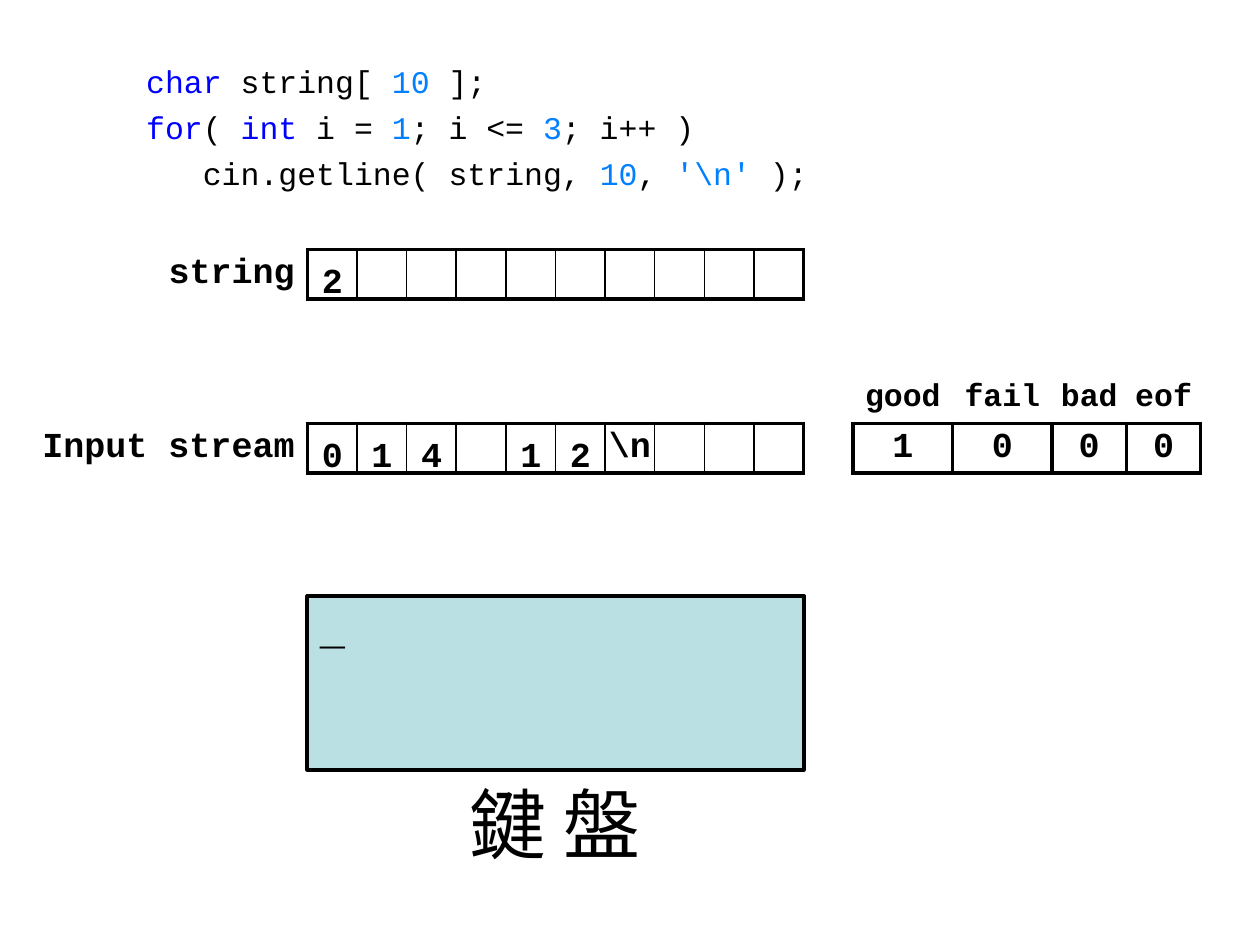
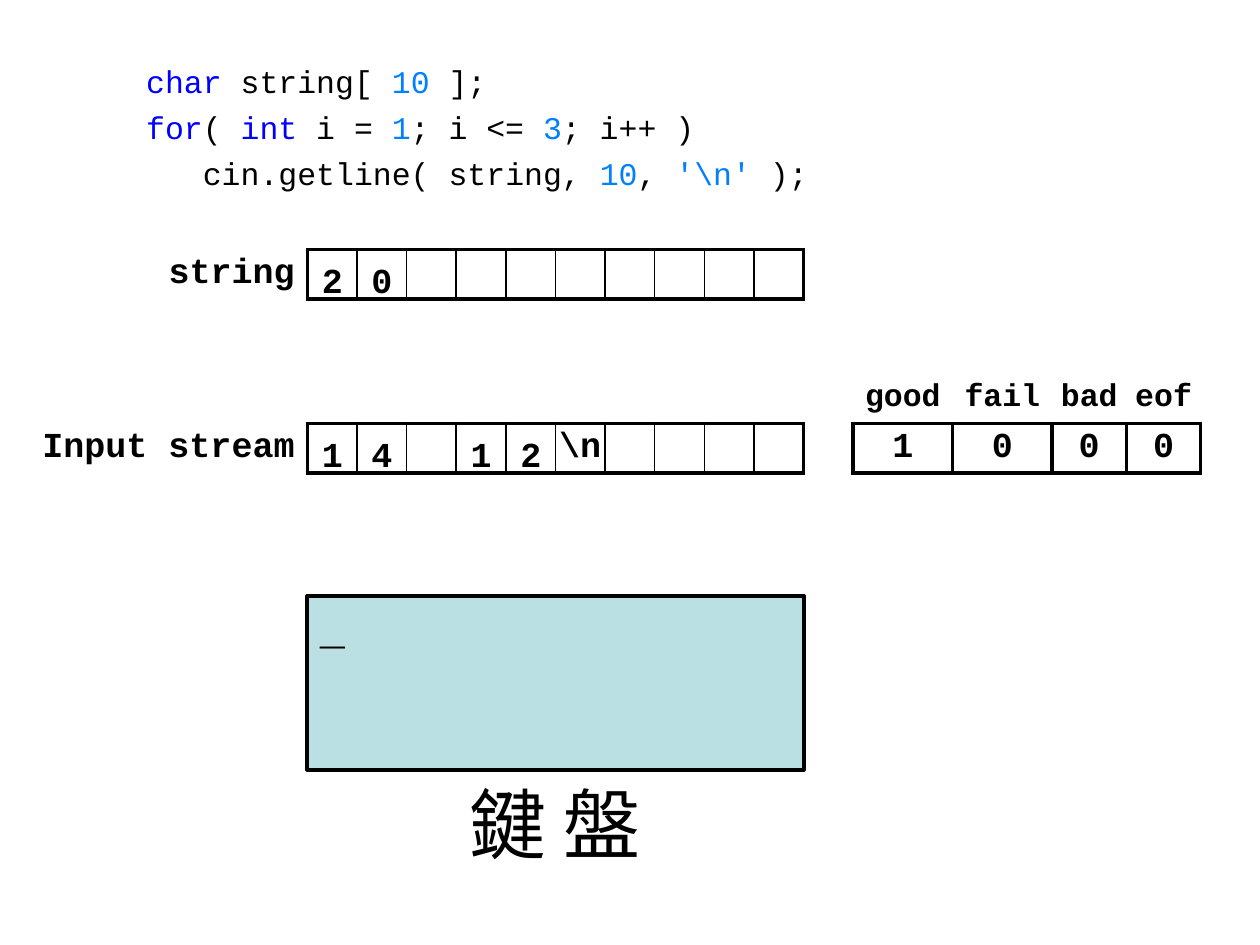
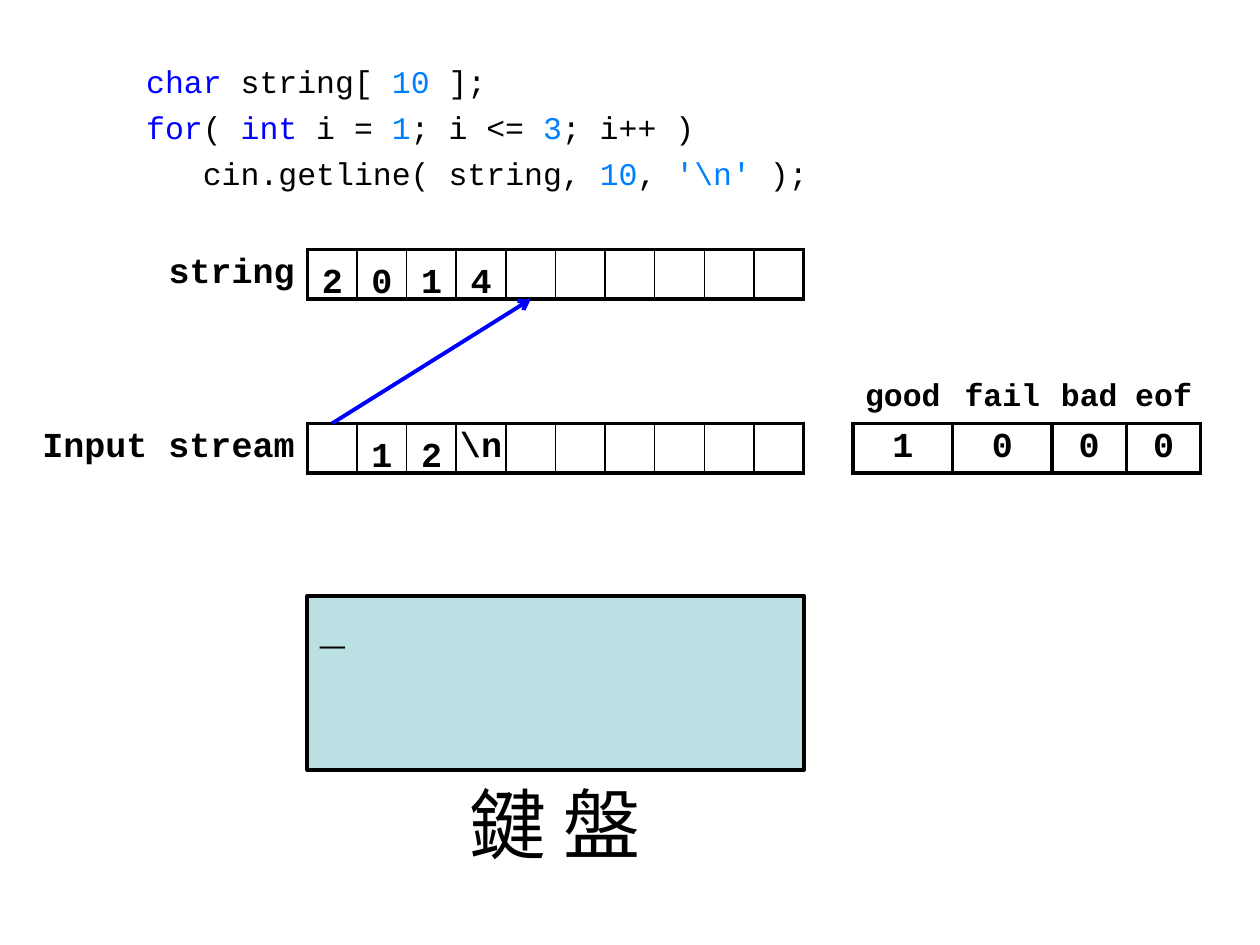
from pptx import Presentation
from pptx import util as u
from pptx.dml.color import RGBColor
from pptx.enum import shapes, text
from pptx.oxml.ns import qn
from lxml import etree

HUES = {"ink": "000000", "key": "0000FF", "num": "0080FF", "pane": "BBE0E3"}
MONO, HAN = "Courier New", "Noto Sans CJK SC"
PLAIN = "{2D5ABB26-0587-4C30-8999-92F81FD0307C}"

CODE = [
    [("char", "key"), (" string[ ", "ink"), ("10", "num"), (" ];", "ink")],
    [("for", "key"), ("( ", "ink"), ("int", "key"), (" i = ", "ink"), ("1", "num"),
     ("; i <= ", "ink"), ("3", "num"), ("; i++ )", "ink")],
    [("   cin.getline( string, ", "ink"), ("10", "num"), (", ", "ink"),
     ("'\\n'", "num"), (" );", "ink")],
]
FLAGS = [("good", "1", 0.79), ("fail", "0", 0.79), ("bad", "0", 0.59), ("eof", "0", 0.59)]
STEPS = [
    {"string": "2", "stream": "014 12", "move": None},
    {"string": "20", "stream": "14 12", "move": None},
    {"string": "2014", "stream": " 12", "move": (0, 4)},
]

SLOTS = 10
LEFT, WIDE = 2.44, 3.94
SLOT = WIDE / SLOTS
TOPS = {"string": 1.98, "stream": 3.36}
THICK, THIN = 2.25, 1
MID = text.MSO_ANCHOR.MIDDLE
ALIGN = text.PP_ALIGN


def hue(name):
    return RGBColor.from_string(HUES[name])


def assign(thing, vals):
    for key, val in vals.items():
        setattr(thing, key, val)


def pads(left=0, top=0, right=0, low=0):
    sides = zip(("left", "top", "right", "bottom"), (left, top, right, low))
    return {f"margin_{side}": u.Inches(val) for side, val in sides}


def add_run(par, words, size, color="ink", bold=True, face=MONO):
    run = par.add_run()
    run.text = words
    assign(run.font, {"size": u.Pt(size), "bold": bold, "name": face})
    run.font.color.rgb = hue(color)
    return run


def box(*dims):
    return [u.Inches(val) for val in dims]


def rule(cell, edges):
    props = cell._tc.get_or_add_tcPr()
    for side in "LRTB":
        if side in edges:
            line = etree.SubElement(props, qn(f"a:ln{side}"), w=str(u.Pt(edges[side])))
            fill = etree.SubElement(line, qn("a:solidFill"))
            etree.SubElement(fill, qn("a:srgbClr"), val=HUES["ink"])


def fill_cell(cell, words="", size=20, align=ALIGN.CENTER, edges={}, right=0):
    assign(cell, {"vertical_anchor": MID, **pads(right=right)})
    rule(cell, edges)
    cell.fill.background()
    par = cell.text_frame.paragraphs[0]
    par.alignment = align
    if words:
        add_run(par, words, size)
    else:
        par.font.size = u.Pt(size)


def add_grid(slide, left, top, cols, rows):
    frame = slide.shapes.add_table(rows, len(cols), *box(left, top, sum(cols), SLOT * rows))
    grid = frame.table
    assign(grid, {"first_row": False, "horz_banding": False})
    grid._tbl.tblPr.find(qn("a:tableStyleId")).text = PLAIN
    for col, wide in zip(grid.columns, cols):
        col.width = u.Inches(wide)
    for row in grid.rows:
        row.height = u.Inches(SLOT)
    return grid


def slot_row(grid, row, label, mark=None):
    fill_cell(grid.cell(row, 0), label, align=ALIGN.RIGHT, edges={"R": THICK}, right=0.1)
    for i in range(SLOTS):
        edges = {"T": THICK, "B": THICK, "L": THIN if i else THICK,
                 "R": THIN if i < SLOTS - 1 else THICK}
        fill_cell(grid.cell(row, i + 1), "\\n" if i == mark else "", edges=edges)


def add_stream(slide, mark):
    head = 2.17
    cols = [head] + [SLOT] * (SLOTS + 1) + [wide for _, _, wide in FLAGS]
    grid = add_grid(slide, LEFT - head, TOPS["stream"] - SLOT, cols, 2)
    slot_row(grid, 1, "Input stream", mark)
    gap = SLOTS + 1
    for i in range(gap + 1):
        fill_cell(grid.cell(0, i), edges={"B": THICK} if 0 < i < gap else {})
    fill_cell(grid.cell(1, gap), edges={"L": THICK, "R": THICK})
    for i, (name, bit, _) in enumerate(FLAGS, gap + 1):
        fill_cell(grid.cell(0, i), name, 18, edges={"B": THICK})
        fill_cell(grid.cell(1, i), bit, edges=dict.fromkeys("LRTB", THICK))


def add_string(slide):
    head = 1.18
    grid = add_grid(slide, LEFT - head, TOPS["string"], [head] + [SLOT] * SLOTS, 1)
    slot_row(grid, 0, "string")


def add_chars(slide, name, chars):
    for i, char in enumerate(chars):
        if char != " ":
            tile = slide.shapes.add_textbox(*box(LEFT + i * SLOT, TOPS[name], SLOT, SLOT))
            frame = tile.text_frame
            assign(frame, {"word_wrap": True, "vertical_anchor": MID, **pads(top=0.08)})
            par = frame.paragraphs[0]
            par.alignment = ALIGN.CENTER
            add_run(par, char, 20)


def add_code(slide):
    body = slide.placeholders[1]
    assign(body, dict(zip(("left", "top", "width", "height"), box(1.06, 0.4, 5.51, 1.18))))
    frame = body.text_frame
    assign(frame, {"word_wrap": True, "auto_size": text.MSO_AUTO_SIZE.NONE,
                   "vertical_anchor": text.MSO_ANCHOR.TOP, **pads(0.1, 0.09, 0.04, 0.05)})
    for i, parts in enumerate(CODE):
        par = frame.add_paragraph() if i else frame.paragraphs[0]
        props = par._p.get_or_add_pPr()
        for key in ("marL", "indent"):
            props.set(key, "0")
        etree.SubElement(props, qn("a:buNone"))
        par.space_before = u.Pt(4.7 if i else 0)
        for words, color in parts:
            add_run(par, words, 18, color, False)


def add_screen(slide):
    pane = slide.shapes.add_shape(shapes.MSO_SHAPE.RECTANGLE, *box(LEFT, 4.73, WIDE, 1.38))
    pane.shadow.inherit = False
    pane.fill.solid()
    pane.fill.fore_color.rgb = hue("pane")
    pane.line.color.rgb = hue("ink")
    pane.line.width = u.Pt(THICK)
    frame = pane.text_frame
    assign(frame, {"word_wrap": False, "vertical_anchor": text.MSO_ANCHOR.TOP})
    par = frame.paragraphs[0]
    par.alignment = ALIGN.LEFT
    add_run(par, "_", 24)


def add_move(slide, start, end):
    spots = [LEFT + (i + 0.5) * SLOT for i in (start, end)]
    arrow = slide.shapes.add_connector(
        shapes.MSO_CONNECTOR.STRAIGHT,
        *box(spots[0], TOPS["stream"], spots[1], TOPS["string"] + SLOT))
    arrow.line.color.rgb = hue("key")
    arrow.line.width = u.Pt(THICK)
    props = arrow.element.spPr
    etree.SubElement(props.find(qn("a:ln")), qn("a:tailEnd"), type="arrow")
    etree.SubElement(props, qn("a:effectLst"))


def share_label(slide, layout):
    label = slide.shapes.add_textbox(*box(3.42, 6.11, 1.97, 0.98))
    label.text_frame.word_wrap = False
    par = label.text_frame.paragraphs[0]
    par.alignment = ALIGN.CENTER
    run = add_run(par, "鍵 盤", 44, bold=False, face=HAN)
    etree.SubElement(run._r.get_or_add_rPr(), qn("a:ea"), typeface=HAN)
    layout.shapes.element.append(label.element)


def main():
    deck = Presentation()
    assign(deck, {"slide_width": u.Inches(10), "slide_height": u.Inches(7.5)})
    layout = deck.slide_layouts[1]
    for i, step in enumerate(STEPS):
        slide = deck.slides.add_slide(layout)
        title = slide.shapes.title.element
        title.getparent().remove(title)
        if i == 0:
            share_label(slide, layout)
        add_code(slide)
        add_stream(slide, len(step["stream"]))
        add_string(slide)
        add_screen(slide)
        for name in TOPS:
            add_chars(slide, name, step[name])
        if step["move"]:
            add_move(slide, *step["move"])
    deck.save("out.pptx")


if __name__ == "__main__":
    main()
